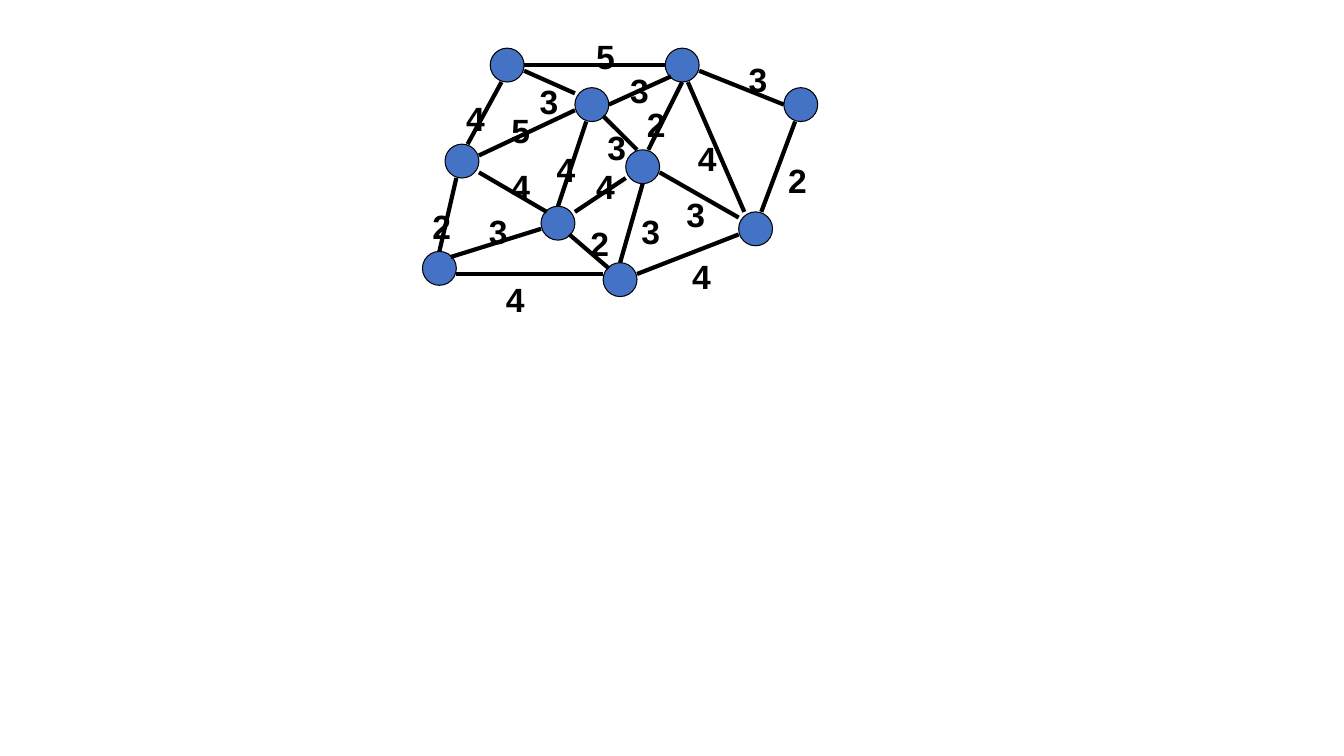
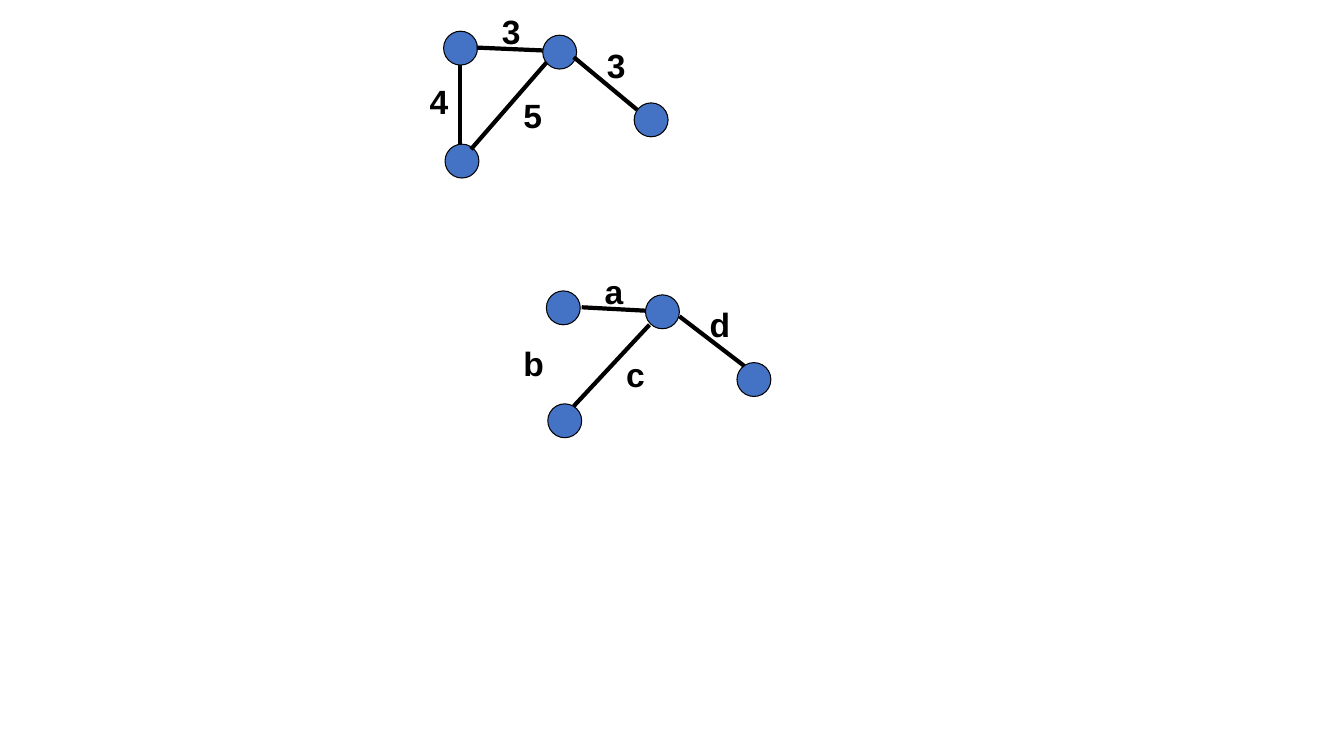
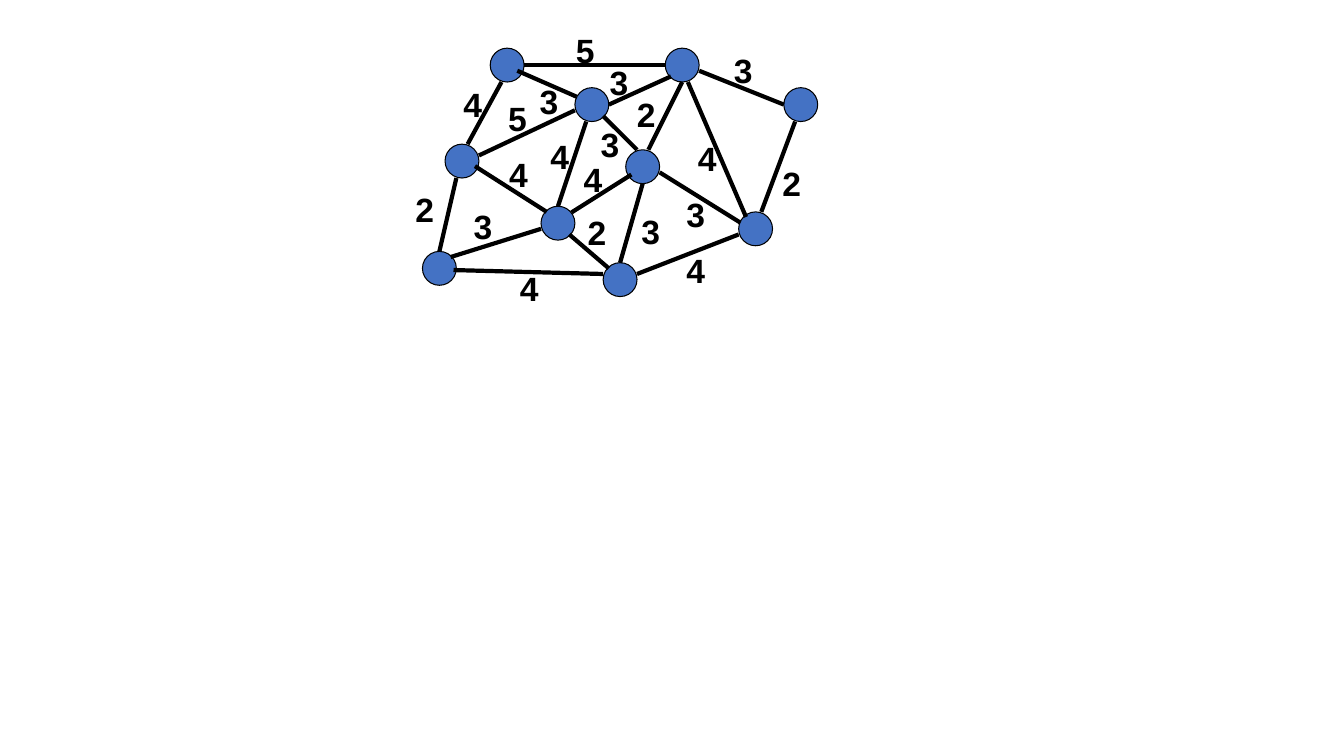
"""Draw weighted graphs on three slides, laid out on a fine grid."""
from dataclasses import dataclass, replace

from lxml import etree
from pptx import Presentation
from pptx.dml.color import RGBColor
from pptx.enum.shapes import MSO_CONNECTOR, MSO_SHAPE
from pptx.enum.text import MSO_AUTO_SIZE
from pptx.oxml.ns import qn
from pptx.slide import Slide
from pptx.util import Inches, Pt

OVAL = MSO_SHAPE.OVAL
STRAIGHT = MSO_CONNECTOR.STRAIGHT
FIT_SHAPE = MSO_AUTO_SIZE.SHAPE_TO_FIT_TEXT

COLORS = {"node": "4472C4", "ink": "000000"}
FONT = "Arial"
WIDTH, HEIGHT = 13.33, 7.5
CELL = WIDTH / 238
LEFT, TOP = 4.19, 0.31
NODE = 6

Point = tuple[float, float]


@dataclass(frozen=True)
class Edge:
    start: Point
    end: Point


@dataclass(frozen=True)
class Label:
    text: str
    at: Point
    size: Point = (4.6, 6)


@dataclass(frozen=True)
class Graph:
    nodes: list[Point]
    edges: dict[str, Edge]
    labels: dict[str, Label]
    origin: Point = (0, 0)


NETWORK_NODES = [(12, 3), (43, 3), (64, 10), (36, 21), (27, 10),
                 (4, 20), (0, 39), (21, 31), (32, 41), (56, 32)]
NETWORK_EDGES = {
    "GH": Edge((5, 40), (21, 35)),
    "FA": Edge((8, 20), (14, 9)),
    "FG": Edge((6, 26), (3, 39)),
    "GI": Edge((6, 43), (32, 43)),
    "HI": Edge((26, 36), (33, 42)),
    "FE": Edge((10, 22), (27, 14)),
    "AE": Edge((18, 7), (27, 11)),
    "AB": Edge((18, 6), (43, 6)),
    "BC": Edge((49, 7), (64, 13)),
    "EB": Edge((33, 13), (44, 8)),
    "EH": Edge((29, 16), (24, 31)),
    "FH": Edge((10, 25), (22, 32)),
    "ED": Edge((32, 15), (38, 21)),
    "HD": Edge((27, 32), (36, 26)),
    "DI": Edge((39, 27), (35, 41)),
    "IJ": Edge((38, 43), (56, 36)),
    "DJ": Edge((42, 25), (56, 33)),
    "BJ": Edge((47, 9), (57, 32)),
    "CJ": Edge((66, 16), (60, 32)),
    "BD": Edge((46, 9), (40, 21)),
}
NETWORK_LABELS = {
    "AB": Label("5", (29, 0)),
    "CJ": Label("2", (63, 22)),
    "FA": Label("4", (6, 11)),
    "EB": Label("3", (35, 6)),
    "BC": Label("3", (56, 4)),
    "FG": Label("2", (0, 30)),
    "FE": Label("5", (14, 13)),
    "BD": Label("2", (38, 12)),
    "GH": Label("3", (10, 31)),
    "BJ": Label("4", (47, 18)),
    "FH": Label("4", (14, 23)),
    "HI": Label("2", (28, 33)),
    "GI": Label("4", (13, 43)),
    "DI": Label("3", (37, 31)),
    "HD": Label("4", (29, 23)),
    "IJ": Label("4", (46, 39)),
    "EH": Label("4", (22, 20)),
    "AE": Label("3", (19, 8)),
    "ED": Label("3", (31, 16)),
    "DJ": Label("3", (45, 28)),
}
NETWORK = Graph(NETWORK_NODES, NETWORK_EDGES, NETWORK_LABELS)

TIDY_EDGES = {
    "GI": Edge((5.5, 42.3), (32, 43)),
    "AE": Edge((16.8, 7), (27.3, 11.6)),
    "FH": Edge((9.3, 23.9), (22, 32)),
    "HD": Edge((26.4, 32.1), (37, 25.4)),
    "DJ": Edge((42, 25), (56.3, 33.9)),
    "BJ": Edge((47, 9), (57.3, 32.9)),
}
TIDY_PLACES = {
    "AB": (25.4, -1.2), "CJ": (62, 22.5), "FA": (5.5, 8.4), "EB": (31.4, 4.6),
    "BC": (53.4, 2.5), "FG": (-3, 27), "FE": (13.4, 10.9), "BD": (36.2, 10.2),
    "GH": (7.3, 30), "FH": (13.6, 20.9), "HI": (27.5, 31.2), "GI": (15.5, 41),
    "HD": (26.8, 21.8), "IJ": (45, 37.9), "EH": (20.9, 17.7), "ED": (29.8, 15.5),
}
TIDY_NETWORK = Graph(
    NETWORK_NODES,
    NETWORK_EDGES | TIDY_EDGES,
    {key: replace(label, at=TIDY_PLACES.get(key, label.at))
     for key, label in NETWORK_LABELS.items()},
)

SMALL_NODES = [(3.75, 0), (37.5, 12.7), (21.3, 0.7), (4, 20)]
CYCLE = Graph(
    SMALL_NODES,
    {
        "PS": Edge((6.6, 20), (6.6, 5.9)),
        "SR": Edge((8.6, 20.9), (22, 5.5)),
        "PR": Edge((9.6, 2.9), (21.3, 3.4)),
        "RQ": Edge((26.8, 4.6), (38, 13.9)),
    },
    {
        "PS": Label("4", (-0.5, 8)),
        "RQ": Label("3", (30.9, 1.6)),
        "SR": Label("5", (16.1, 10.4)),
        "PR": Label("3", (12.3, -4.5), (7.9, 9)),
    },
)
TREE = Graph(
    SMALL_NODES,
    {
        "SR": Edge((8.6, 20.4), (22, 6)),
        "PR": Edge((10, 2.9), (21.3, 3.5)),
        "RQ": Edge((27.3, 4.5), (38.8, 13.3)),
    },
    {
        "RQ": Label("d", (30.9, 1.5), (7.3, 9)),
        "SR": Label("c", (16.1, 10.3), (7, 9)),
        "PR": Label("a", (12.3, -4.4), (7.9, 9)),
        "PS": Label("b", (-2.1, 8.3), (8, 9)),
    },
    (18.2, 46),
)
SLIDES = [[NETWORK], [CYCLE, TREE], [TIDY_NETWORK]]


def color(name: str) -> RGBColor:
    """Look up a named colour."""
    return RGBColor.from_string(COLORS[name])


def span(cells: float) -> int:
    """Turn a number of grid cells into a length."""
    return Inches(cells * CELL)


def place(at: Point, origin: Point) -> tuple[int, int]:
    """Turn a column and row into a position on the slide."""
    return (Inches(LEFT + (origin[0] + at[0]) * CELL),
            Inches(TOP + (origin[1] + at[1]) * CELL))


def draw_node(s: Slide, at: Point, origin: Point) -> None:
    """Draw one round node."""
    sp = s.shapes.add_shape(OVAL, *place(at, origin), span(NODE), span(NODE))
    sp.shadow.inherit = False
    sp.fill.solid()
    sp.fill.fore_color.rgb = color("node")
    sp.line.color.rgb = color("ink")
    sp.line.width = Pt(0.75)


def draw_edge(s: Slide, edge: Edge, origin: Point) -> None:
    """Draw one edge as a straight line."""
    line = s.shapes.add_connector(
        STRAIGHT, *place(edge.start, origin), *place(edge.end, origin))
    line.line.color.rgb = color("ink")
    line.line.width = Pt(3)
    etree.SubElement(line._element.spPr, qn("a:effectLst"))


def draw_label(s: Slide, label: Label, origin: Point) -> None:
    """Write the name or weight of one edge."""
    sp = s.shapes.add_textbox(*place(label.at, origin), *map(span, label.size))
    tf = sp.text_frame
    tf.word_wrap = False
    tf.auto_size = FIT_SHAPE
    r = tf.paragraphs[0].add_run()
    r.text = label.text
    r.font.name = FONT
    r.font.size = Pt(24)
    r.font.bold = True
    r.font.color.rgb = color("ink")


def draw_graph(s: Slide, graph: Graph) -> None:
    """Draw the nodes, then the edges, then the labels."""
    for node in graph.nodes:
        draw_node(s, node, graph.origin)
    for edge in graph.edges.values():
        draw_edge(s, edge, graph.origin)
    for label in graph.labels.values():
        draw_label(s, label, graph.origin)


def main() -> None:
    """Build and save the slides."""
    prs = Presentation()
    prs.slide_width, prs.slide_height = Inches(WIDTH), Inches(HEIGHT)
    for graphs in SLIDES:
        s = prs.slides.add_slide(prs.slide_layouts[6])
        for graph in graphs:
            draw_graph(s, graph)
    prs.save("out.pptx")


if __name__ == "__main__":
    main()
